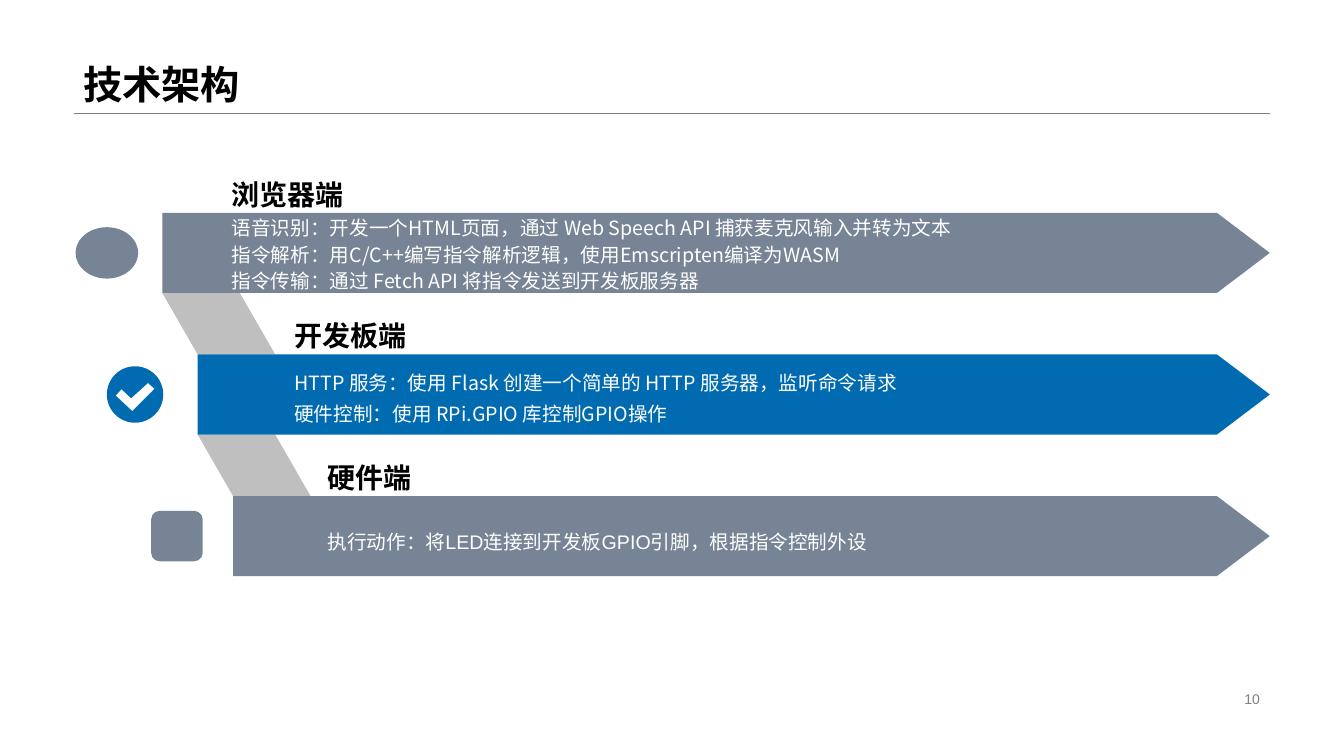
from pptx import Presentation
from pptx.dml.color import RGBColor
from pptx.enum.shapes import MSO_CONNECTOR, MSO_SHAPE
from pptx.enum.text import MSO_ANCHOR, PP_ALIGN
from pptx.oxml.ns import qn
from pptx.util import Inches, Pt
from lxml.etree import SubElement

HUES = {"ink": "000000", "white": "FFFFFF", "slate": "778495",
        "blue": "006BB1", "fold": "BFBFBF", "gray": "808080"}
SANS, HAN = "Arial", "Noto Sans CJK SC"
WIDE, HIGH = Inches(13.33), Inches(7.5)
COL, ROW = WIDE / 100, HIGH / 100
LEFT, RIGHT = 5.48, 94.48
TOP, STEP, BAR = 28.15, 18.73, 10.6
START, SHIFT = 12.08, 2.63

TIERS = [
    {"head": "浏览器端", "hue": "slate", "text": 16.5, "font": HAN, "pitch": Pt(18.6),
     "icon": (MSO_SHAPE.OVAL, 5.63, 4.65, 6.8),
     "lines": ["语音识别：开发一个HTML页面，通过 Web Speech API 捕获麦克风输入并转为文本",
               "指令解析：用C/C++编写指令解析逻辑，使用Emscripten编译为WASM",
               "指令传输：通过 Fetch API 将指令发送到开发板服务器"]},
    {"head": "开发板端", "hue": "blue", "text": 21.16, "font": HAN, "pitch": Pt(22.2),
     "icon": (MSO_SHAPE.OVAL, 7.95, 4.2, 7.47), "tick": True,
     "lines": ["HTTP 服务：使用 Flask 创建一个简单的 HTTP 服务器，监听命令请求",
               "硬件控制：使用 RPi.GPIO 库控制GPIO操作"]},
    {"head": "硬件端", "hue": "slate", "text": 23.63, "font": SANS, "pitch": 1.5,
     "icon": (MSO_SHAPE.ROUNDED_RECTANGLE, 11.25, 3.83, 6.67),
     "lines": ["执行动作：将LED连接到开发板GPIO引脚，根据指令控制外设"]},
]


def tint(name):
    return RGBColor.from_string(HUES[name])


def place(x, y, w, h):
    return round(x * COL), round(y * ROW), round(w * COL), round(h * ROW)


def paint(shape, hue):
    shape.shadow.inherit = False
    shape.fill.solid()
    shape.fill.fore_color.rgb = tint(hue)
    shape.line.fill.background()


def form(slide, kind, box, hue, adj=None):
    shape = slide.shapes.add_shape(kind, *place(*box))
    paint(shape, hue)
    if adj is not None:
        shape.adjustments[0] = adj
    return shape


def write(slide, box, lines, size, hue, font=SANS, bold=False,
          pitch=None, align=PP_ALIGN.LEFT, anchor=MSO_ANCHOR.MIDDLE):
    frame = slide.shapes.add_textbox(*place(*box)).text_frame
    frame.word_wrap = True
    frame.vertical_anchor = anchor
    for i, line in enumerate(lines):
        para = frame.paragraphs[0] if i == 0 else frame.add_paragraph()
        para.text = line
        para.alignment = align
        if pitch is not None:
            para.line_spacing = pitch
        para.font.name = font
        para.font.size = Pt(size)
        para.font.bold = bold
        para.font.color.rgb = tint(hue)


def title(slide, box, text):
    x, y, w, h = box
    rule = slide.shapes.add_connector(
        MSO_CONNECTOR.STRAIGHT, round(x * COL), round((y + h) * ROW),
        round((x + w) * COL), round((y + h) * ROW))
    rule.line.color.rgb = tint("gray")
    rule.line.width = Pt(0.25)
    SubElement(rule.element.spPr, qn("a:effectLst"))
    write(slide, box, [text], 28, "ink", bold=True, pitch=0.9, anchor=MSO_ANCHOR.BOTTOM)


def tick(slide, box):
    x, y, w, h = place(*box)
    spots = [(0.16, 0.52), (0.26, 0.41), (0.43, 0.57),
             (0.73, 0.3), (0.84, 0.4), (0.45, 0.79)]
    dots = [(round(x + a * w), round(y + b * h)) for a, b in spots]
    pen = slide.shapes.build_freeform(*dots[0])
    pen.add_line_segments(dots[1:], close=True)
    paint(pen.convert_to_shape(), "white")


def fold(slide, box):
    w, h = place(*box)[2:]
    shape = form(slide, MSO_SHAPE.PARALLELOGRAM, box, "fold", SHIFT * COL / min(w, h))
    shape.element.spPr.get_or_add_xfrm().set("flipH", "1")


def tier(slide, box, item):
    x, y, w, h = box
    form(slide, MSO_SHAPE.PENTAGON, box, item["hue"], 0.66)
    kind, left, wide, high = item["icon"]
    spot = (left, y + (h - high) / 2, wide, high)
    form(slide, kind, spot, item["hue"])
    if item.get("tick"):
        tick(slide, spot)
    write(slide, (item["text"], y - 5.2, 19, 5.47), [item["head"]], 20, "ink", bold=True)
    write(slide, (item["text"], y, 90.25 - item["text"], h), item["lines"], 14,
          "white", item["font"], pitch=item["pitch"])


def stairs(slide, box):
    x, y, w, h = box
    for i, item in enumerate(TIERS):
        left, top = x + i * SHIFT, y + i * STEP
        if i < len(TIERS) - 1:
            fold(slide, (left, top + BAR, 8.4, STEP - BAR))
        tier(slide, (left, top, x + w - left, BAR), item)


def main():
    deck = Presentation()
    deck.slide_width, deck.slide_height = WIDE, HIGH
    slide = deck.slides.add_slide(deck.slide_layouts[6])
    title(slide, (LEFT, 0, RIGHT - LEFT, 14.93), "技术架构")
    stairs(slide, (START, TOP, RIGHT - START, 2 * STEP + BAR))
    write(slide, (70.67, 90.93, 23.81, 3.07), ["10"], 10, "gray", align=PP_ALIGN.RIGHT)
    deck.save("out.pptx")


if __name__ == "__main__":
    main()
